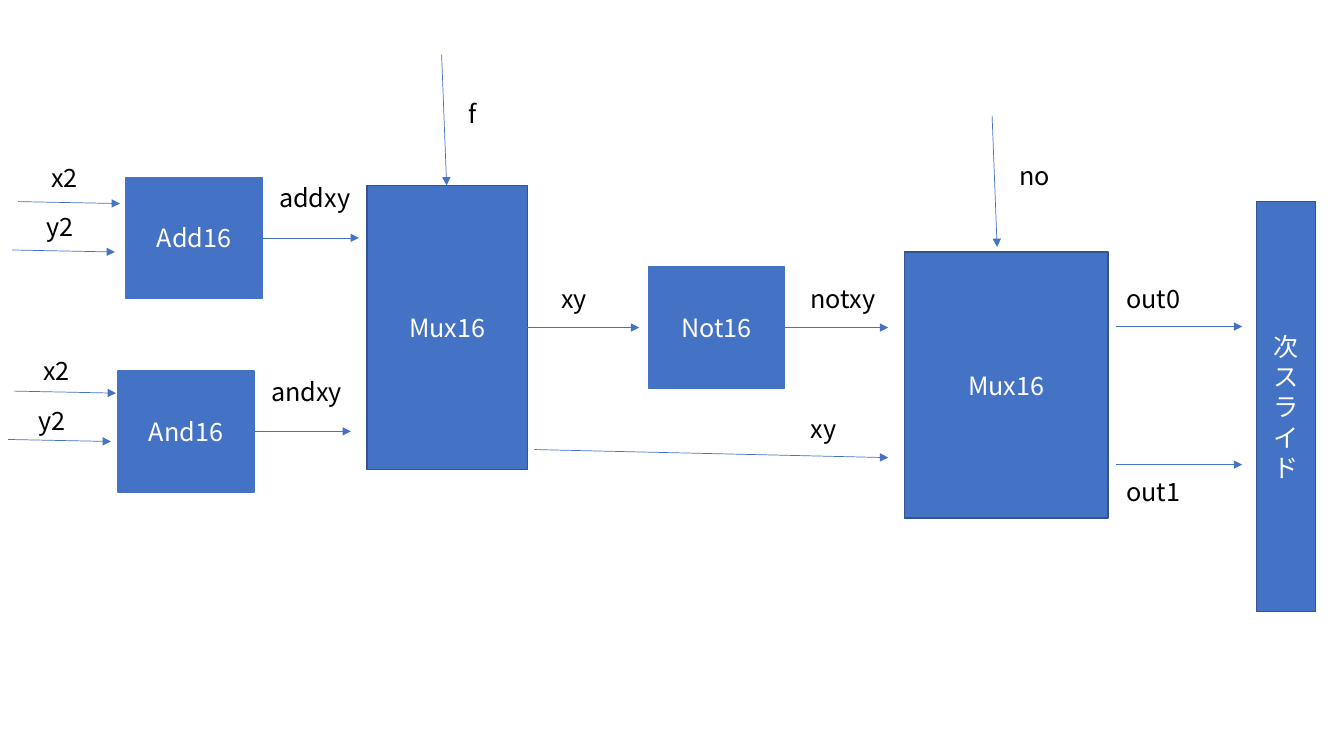
from dataclasses import dataclass

from lxml import etree
from pptx import Presentation
from pptx.dml.color import RGBColor
from pptx.enum.shapes import MSO_CONNECTOR, MSO_SHAPE
from pptx.enum.text import MSO_ANCHOR, MSO_AUTO_SIZE, PP_ALIGN
from pptx.oxml.ns import qn
from pptx.util import Inches, Pt

RECTANGLE = MSO_SHAPE.RECTANGLE
STRAIGHT = MSO_CONNECTOR.STRAIGHT
CENTER = PP_ALIGN.CENTER
MIDDLE = MSO_ANCHOR.MIDDLE
GROW = MSO_AUTO_SIZE.SHAPE_TO_FIT_TEXT


@dataclass(frozen=True)
class Theme:
    font: str = "Noto Sans CJK JP"
    blue: RGBColor = RGBColor(0x44, 0x72, 0xC4)
    navy: RGBColor = RGBColor(0x32, 0x54, 0x91)
    black: RGBColor = RGBColor(0, 0, 0)
    white: RGBColor = RGBColor(255, 255, 255)
    text_size: Pt = Pt(18)
    wire_width: Pt = Pt(0.5)
    border_width: Pt = Pt(1)


THEME = Theme()
GATE_WIDTH, GATE_HEIGHT = 1.35, 1.2
LABEL_HEIGHT = 0.4


def add_span(para, text, color):
    span = para.add_run()
    span.text = text
    span.font.name = THEME.font
    span.font.size = THEME.text_size
    span.font.color.rgb = color
    east_asian = etree.SubElement(span.font._element, qn("a:ea"))
    east_asian.set("typeface", THEME.font)


def add_label(page, text, left, top, width):
    box = page.shapes.add_textbox(Inches(left), Inches(top), Inches(width), Inches(LABEL_HEIGHT))
    box.text_frame.word_wrap = True
    box.text_frame.auto_size = GROW
    add_span(box.text_frame.paragraphs[0], text, THEME.black)


def add_block(page, text, left, top, width=GATE_WIDTH, height=GATE_HEIGHT, border=THEME.navy):
    block = page.shapes.add_shape(RECTANGLE, Inches(left), Inches(top), Inches(width), Inches(height))
    block.shadow.inherit = False
    block.fill.solid()
    block.fill.fore_color.rgb = THEME.blue
    block.line.color.rgb = border
    block.line.width = THEME.border_width
    block.text_frame.word_wrap = True
    block.text_frame.vertical_anchor = MIDDLE
    para = block.text_frame.paragraphs[0]
    para.alignment = CENTER
    add_span(para, text, THEME.white)


def add_wire(page, left, top, across, down=0):
    wire = page.shapes.add_connector(
        STRAIGHT, Inches(left), Inches(top), Inches(left + across), Inches(top + down)
    )
    wire.line.color.rgb = THEME.blue
    wire.line.width = THEME.wire_width
    etree.SubElement(wire.line._get_or_add_ln(), qn("a:tailEnd")).set("type", "triangle")
    etree.SubElement(wire._element.spPr, qn("a:effectLst"))


def add_input_gate(page, name, output, left, top, wire_left, wire_top):
    add_label(page, "x2", left - 0.84, top - 0.2, 0.83)
    add_wire(page, wire_left, wire_top, 1.01, 0.02)
    add_label(page, "y2", left - 0.89, top + 0.29, 0.83)
    add_wire(page, wire_left - 0.06, wire_top + 0.48, 1.02, 0.02)
    add_block(page, name, left, top, border=THEME.blue)
    add_wire(page, left + GATE_WIDTH, top + GATE_HEIGHT / 2, 0.96)
    add_label(page, output, left + 1.42, top, 0.97)


def add_selector(page, text, left, top):
    add_wire(page, left, top, 0.05, 1.3)
    add_label(page, text, left + 0.17, top + 0.39, 0.75)


def add_signal(page, text, left, top):
    add_wire(page, left, top, 1.12)
    add_label(page, text, left + 0.25, top - 0.49, 1.03)


def main():
    deck = Presentation()
    deck.slide_width, deck.slide_height = Inches(13.33), Inches(7.5)
    page = deck.slides.add_slide(deck.slide_layouts[6])

    add_input_gate(page, "Add16", "addxy", 1.25, 1.76, 0.18, 2)
    add_input_gate(page, "And16", "andxy", 1.17, 3.68, 0.14, 3.88)

    add_block(page, "Mux16", 3.64, 1.84, 1.59, 2.82)
    add_selector(page, "f", 4.38, 0.54)
    add_signal(page, "xy", 5.22, 3.25)

    add_block(page, "Not16", 6.43, 2.65, border=THEME.blue)
    add_signal(page, "notxy", 7.69, 3.25)
    add_wire(page, 5.3, 4.46, 3.51, 0.08)
    add_label(page, "xy", 7.94, 4.05, 1.03)

    add_block(page, "Mux16", 8.97, 2.5, 2.02, 2.64)
    add_selector(page, "no", 9.84, 1.15)
    for name, wire_top, label_top in (("out0", 3.24, 2.76), ("out1", 4.61, 4.68)):
        add_wire(page, 11.07, wire_top, 1.25)
        add_label(page, name, 11.07, label_top, 1.25)
    add_block(page, "次スライド", 12.46, 2, 0.59, 4.07)

    deck.save("out.pptx")


if __name__ == "__main__":
    main()
